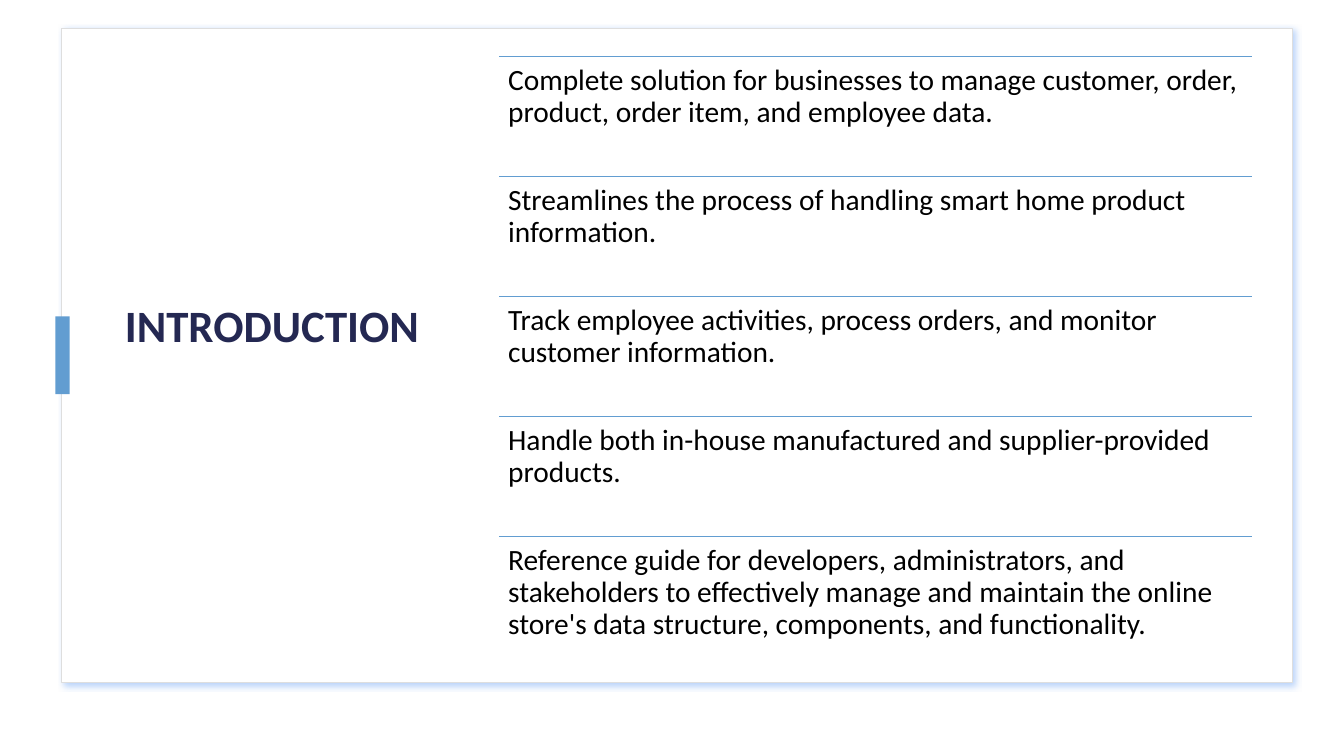
from lxml import etree
from pptx import Presentation
from pptx import util as u
from pptx.dml.color import RGBColor
from pptx.enum import shapes, text
from pptx.oxml import ns

WHITE = RGBColor(0xFF, 0xFF, 0xFF)
BLACK = RGBColor(0x00, 0x00, 0x00)
NAVY = RGBColor(0x24, 0x28, 0x52)
BLUE = RGBColor(0x62, 0x9D, 0xD1)
BORDER = RGBColor(0xDE, 0xDE, 0xDE)
SHADOW = RGBColor(0x71, 0xA6, 0xF5)
FONT = "Calibri"

# Grid of the points list, in inches
LIST_LEFT, LIST_TOP = 4.95, 0.56
LIST_WIDTH, ROW_HEIGHT = 7.47, 1.19

POINTS = [
    "Complete solution for businesses to manage customer, order, product, "
    "order item, and employee data.",
    "Streamlines the process of handling smart home product information.",
    "Track employee activities, process orders, and monitor customer information.",
    "Handle both in-house manufactured and supplier-provided products.",
    "Reference guide for developers, administrators, and stakeholders to "
    "effectively manage and maintain the online store's data structure, "
    "components, and functionality.",
]


def inches(*lengths):
    return [u.Inches(length) for length in lengths]


def add_block(page, area, fill, border=None):
    block = page.shapes.add_shape(shapes.MSO_SHAPE.RECTANGLE, *inches(*area))
    block.shadow.inherit = False
    block.fill.solid()
    block.fill.fore_color.rgb = fill
    if border is None:
        block.line.fill.background()
    else:
        block.line.color.rgb = border
        block.line.width = u.Pt(1)
    return block


def add_soft_shadow(block):
    effects = block._element.spPr.find(ns.qn("a:effectLst"))
    shadow = etree.SubElement(
        effects, ns.qn("a:outerShdw"), blurRad=str(u.Pt(4)),
        dist=str(u.Pt(3)), dir=str(45 * 60000), algn="tl", rotWithShape="0")
    color = etree.SubElement(shadow, ns.qn("a:srgbClr"), val=str(SHADOW))
    etree.SubElement(color, ns.qn("a:alpha"), val="50000")


def add_rule(page, left, top, width):
    rule = page.shapes.add_connector(
        shapes.MSO_CONNECTOR.STRAIGHT, *inches(left, top, left + width, top))
    rule.line.color.rgb = BLUE
    rule.line.width = u.Pt(1)
    etree.SubElement(rule._element.spPr, ns.qn("a:effectLst"))


def add_text(page, area, words, size, color, bold=False):
    box = page.shapes.add_textbox(*inches(*area))
    frame = box.text_frame
    frame.word_wrap = True
    frame.text = words
    para = frame.paragraphs[0]
    para.line_spacing = 0.9
    font = para.runs[0].font
    font.name, font.size, font.bold = FONT, u.Pt(size), bold
    font.color.rgb = color
    return frame


def add_title(page):
    frame = add_text(page, (1.14, 0.55, 3.27, 5.95), "INTRODUCTION", 32, NAVY, True)
    frame.vertical_anchor = text.MSO_ANCHOR.MIDDLE
    # A deep bottom inset lifts the title above the middle
    frame.margin_bottom = u.Inches(0.6)


def add_point(page, row, words):
    top = LIST_TOP + row * ROW_HEIGHT
    add_rule(page, LIST_LEFT, top, LIST_WIDTH)
    frame = add_text(page, (LIST_LEFT, top, LIST_WIDTH, ROW_HEIGHT), words, 21, BLACK)
    frame.margin_left = frame.margin_right = u.Inches(0.09)
    frame.margin_top = frame.margin_bottom = u.Inches(0.09)


def main():
    deck = Presentation()
    deck.slide_width, deck.slide_height = inches(13.33, 7.5)
    page = deck.slides.add_slide(deck.slide_layouts[6])

    # Card, title and accent
    card = add_block(page, (0.61, 0.28, 12.21, 6.49), WHITE, BORDER)
    add_soft_shadow(card)
    add_title(page)
    add_block(page, (0.55, 3.14, 0.14, 0.77), BLUE)

    # Ruled list of points
    for row, words in enumerate(POINTS):
        add_point(page, row, words)

    deck.save("out.pptx")


if __name__ == "__main__":
    main()
